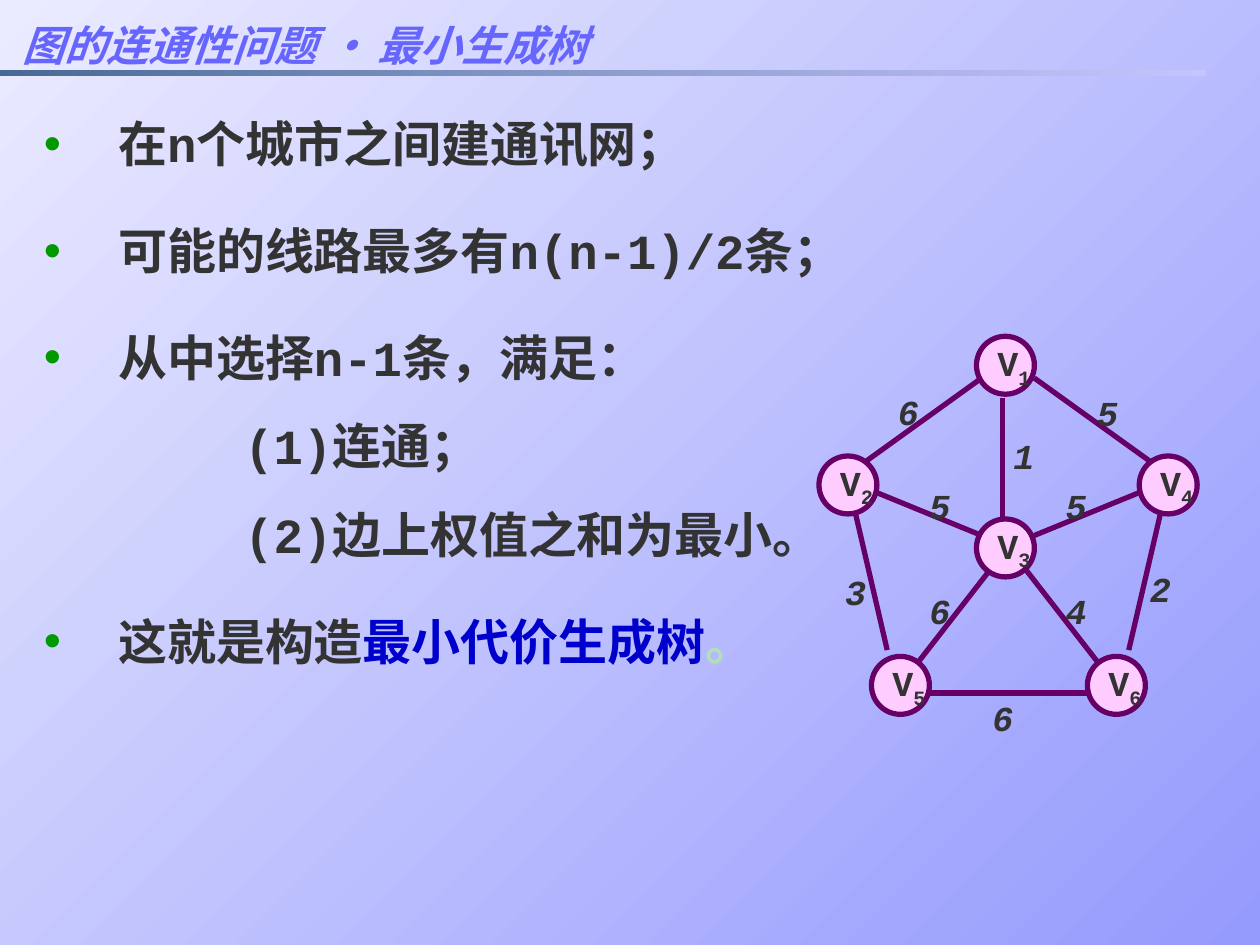
import dataclasses

import pptx
import pptx.dml.color
import pptx.enum.shapes
import pptx.enum.text
import pptx.oxml
import pptx.oxml.ns
import pptx.util
from lxml import etree

Pt = pptx.util.Pt
rgb = pptx.dml.color.RGBColor.from_string
qn = pptx.oxml.ns.qn


@dataclasses.dataclass(frozen=True)
class Theme:
    backdrop: tuple = ("EBEBFF", "959AFD")
    rule: tuple = (("003366", 70), ("CCCCFF", 60))  # colour, opacity in percent
    title: str = "6666FF"
    body: str = "333333"
    bullet: str = "009900"
    emphasis: str = "0000CC"
    faint: str = "B3E1B3"
    node: str = "FFCCFF"
    edge: str = "660066"
    latin: str = "Courier New"
    chinese: str = "Noto Sans CJK SC"
    title_size: int = 24
    body_size: int = 28
    graph_size: int = 20


theme = Theme()


def write(paragraph, text, *, size, color=theme.body, font=theme.latin,
          italic=False, subscript=False):
    run = paragraph.add_run()
    run.text = text
    run.font.size = Pt(size)
    run.font.bold = True
    run.font.italic = italic
    run.font.color.rgb = rgb(color)
    run.font.name = font
    properties = run._r.get_or_add_rPr()
    etree.SubElement(properties, qn("a:ea")).set("typeface", theme.chinese)
    if subscript:
        properties.set("baseline", "-25000")


def add_text_frame(shapes, left, top, width, height, insets):
    """Add a wrapping text box with (left, top, right, bottom) insets."""
    frame = shapes.add_textbox(Pt(left), Pt(top), Pt(width), Pt(height)).text_frame
    frame.word_wrap = True
    (frame.margin_left, frame.margin_top,
     frame.margin_right, frame.margin_bottom) = map(Pt, insets)
    return frame


deck = pptx.Presentation()
deck.slide_width, deck.slide_height = Pt(720), Pt(540)
slide = deck.slides.add_slide(deck.slide_layouts[6])

backdrop = slide.background.fill
backdrop.gradient()
backdrop.gradient_angle = 315
for stop, color in zip(backdrop.gradient_stops, theme.backdrop):
    stop.color.rgb = rgb(color)

# Body text: runs, bulleted or not
body = add_text_frame(slide.shapes, 18, 48.2, 672, 438, (7.2, 6.9, 7.2, 3.6))
points = [
    ([("在n个城市之间建通讯网；", theme.body)], True),
    ([("可能的线路最多有n(n-1)/2条；", theme.body)], True),
    ([("从中选择n-1条，满足：", theme.body)], True),
    ([("(1)连通；", theme.body)], False),
    ([("(2)边上权值之和为最小。", theme.body)], False),
    ([("这就是构造", theme.body), ("最小代价生成树", theme.emphasis),
      ("。", theme.faint)], True),
]
for index, (runs, bulleted) in enumerate(points):
    point = body.paragraphs[0] if index == 0 else body.add_paragraph()
    point.line_spacing = Pt(43.6 if bulleted else 40)
    if index:
        point.space_before = Pt(17.5 if bulleted else 10.5)
    layout = point._p.get_or_add_pPr()
    layout.set("marL", str(Pt(42.5 if bulleted else 114.5)))
    layout.set("indent", str(Pt(-42.5 if bulleted else 0)))
    if bulleted:
        bullet_color = etree.SubElement(layout, qn("a:buClr"))
        etree.SubElement(bullet_color, qn("a:srgbClr")).set("val", theme.bullet)
        etree.SubElement(layout, qn("a:buFont")).set("typeface", "Arial")
        etree.SubElement(layout, qn("a:buChar")).set("char", "•")
    for text, color in runs:
        write(point, text, size=theme.body_size, color=color)

# Graph: slanted edges on the left are mirrored about a vertical axis
graph = slide.shapes.add_group_shape().shapes
AXIS = 576
left_edges = [
    (489, 294, 507, 371.5),
    (567, 324, 525, 378),
    (501, 281.5, 561, 306),
    (561, 216, 495, 263.5),
]
right_edges = [(2 * AXIS - x1, y1, 2 * AXIS - x2, y2) for x1, y1, x2, y2 in left_edges]
middle_edges = [(573, 227.5, 573, 299.5), (531, 396, 621, 396)]
for ends in left_edges + right_edges + middle_edges:
    edge = graph.add_connector(pptx.enum.shapes.MSO_CONNECTOR.STRAIGHT, *map(Pt, ends))
    edge.line.color.rgb = rgb(theme.edge)
    edge.line.width = Pt(3)
    etree.SubElement(edge._element.spPr, qn("a:effectLst"))

NODE = 33.1
nodes = {"1": (558, 192.2), "2": (468, 260.6), "4": (651, 260.6),
         "5": (498, 375.1), "6": (621.4, 375.1), "3": (558, 296.6)}
for number, (left, top) in nodes.items():
    node = graph.add_shape(pptx.enum.shapes.MSO_SHAPE.OVAL,
                           Pt(left), Pt(top), Pt(NODE), Pt(NODE))
    node.shadow.inherit = False
    node.fill.solid()
    node.fill.fore_color.rgb = rgb(theme.node)
    node.line.color.rgb = rgb(theme.edge)
    node.line.width = Pt(3)
    node.text_frame.word_wrap = False
    node.text_frame.vertical_anchor = pptx.enum.text.MSO_ANCHOR.MIDDLE
    vertex = node.text_frame.paragraphs[0]
    vertex.alignment = pptx.enum.text.PP_ALIGN.LEFT
    write(vertex, "V", size=theme.graph_size)
    write(vertex, number, size=theme.graph_size, subscript=True)

weights = [
    ("5", 627, 216.7), ("6", 513, 216), ("1", 579, 241.2), ("3", 483, 319),
    ("2", 657, 317.5), ("6", 567, 391), ("6", 531, 329.8), ("5", 531, 270),
    ("5", 609, 270), ("4", 609, 329.8),
]
for weight, left, top in weights:
    label = add_text_frame(graph, left, top, 18, 28.8, (0, 7, 0, 0)).paragraphs[0]
    label.line_spacing = Pt(24)
    write(label, weight, size=theme.graph_size, italic=True)

# Title and the fading rule under it
heading = slide.shapes.add_group_shape().shapes
rule = heading.add_shape(pptx.enum.shapes.MSO_SHAPE.RECTANGLE,
                         Pt(0), Pt(40.2), Pt(689), Pt(3))
rule.shadow.inherit = False
rule.line.fill.background()
rule.fill.gradient()
rule.fill.gradient_angle = 0
for stop, (color, _) in zip(rule.fill.gradient_stops, theme.rule):
    stop.color.rgb = rgb(color)
for tint, (_, opacity) in zip(rule._element.spPr.iter(qn("a:srgbClr")), theme.rule):
    etree.SubElement(tint, qn("a:alpha")).set("val", str(opacity * 1000))

title = add_text_frame(heading, 6, 4.3, 714, 36, (7.2, 3.6, 7.2, 3.6)).paragraphs[0]
title.line_spacing = Pt(32)
for text, font in [("图的连通性问题 ", theme.chinese), ("• ", "Arial"),
                   ("最小生成树", theme.chinese)]:
    write(title, text, size=theme.title_size, color=theme.title, font=font, italic=True)

deck.save("out.pptx")
